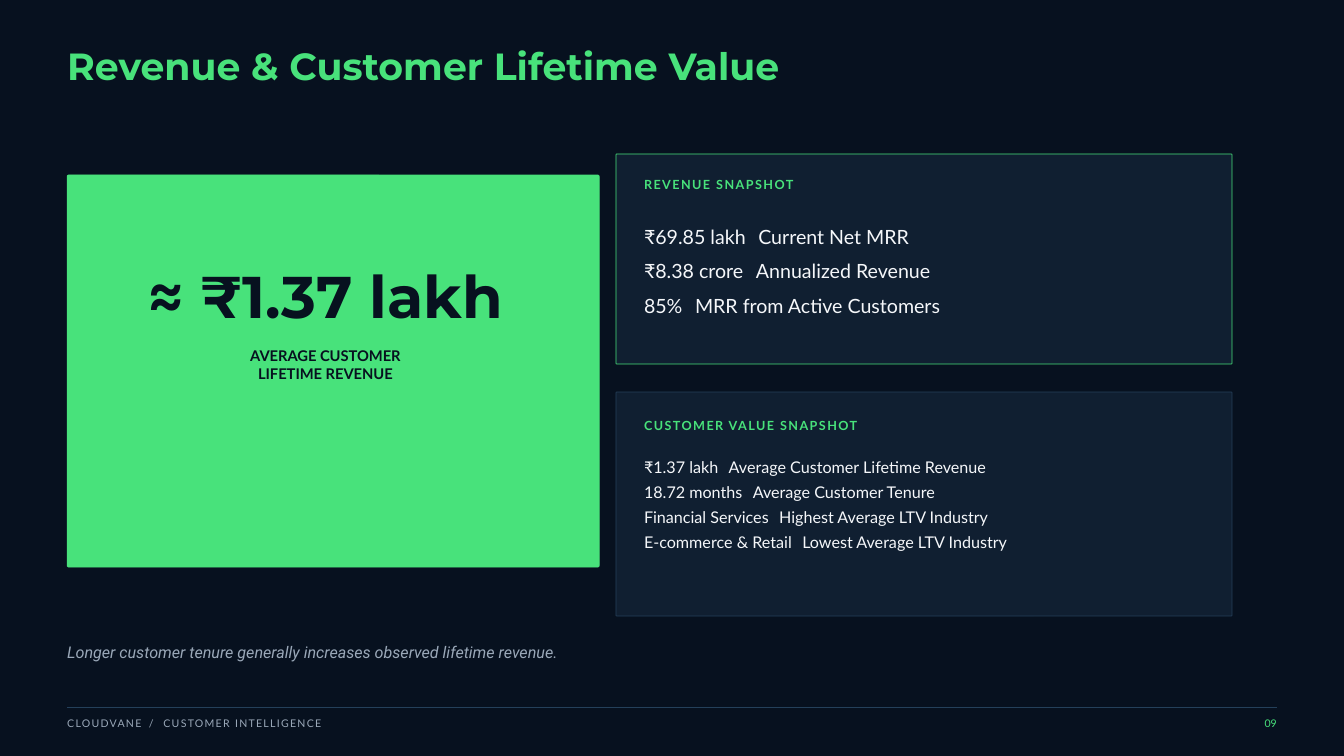
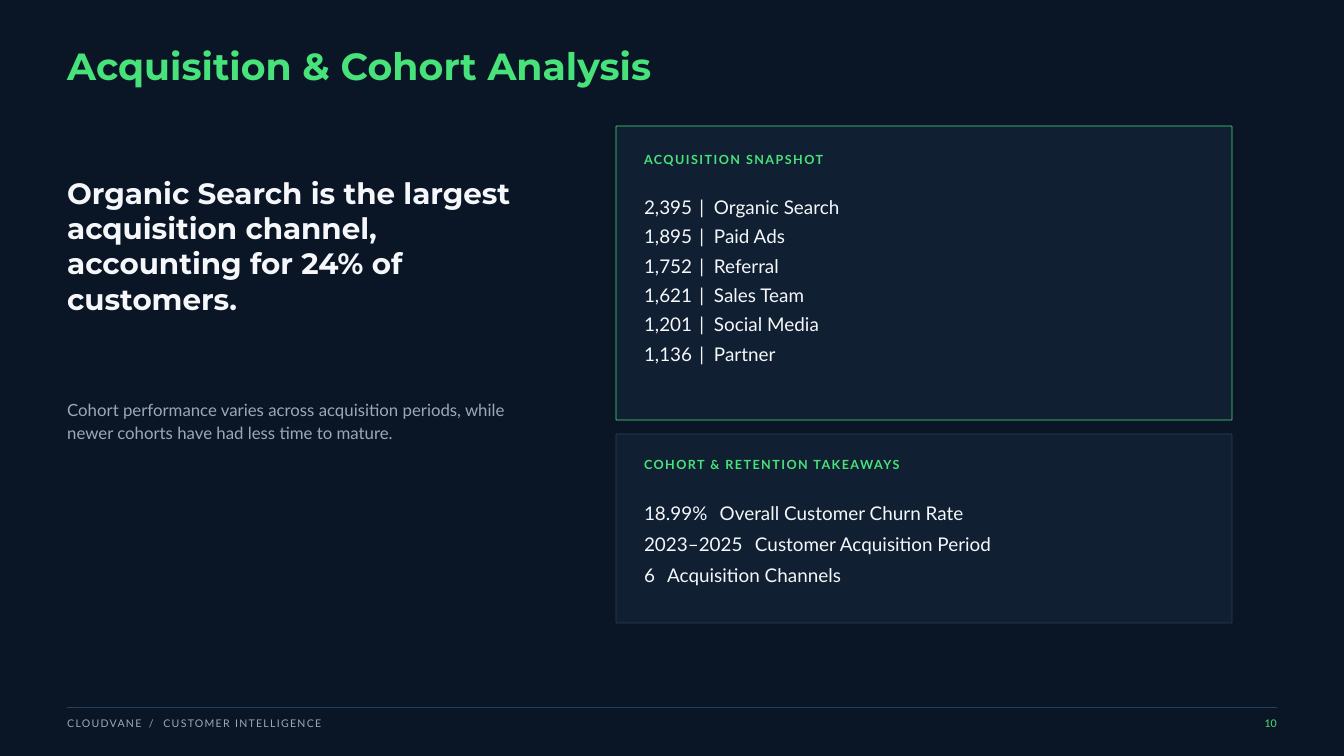
from dataclasses import dataclass

import lxml.etree
import pptx
import pptx.dml.color
import pptx.enum.shapes
import pptx.enum.text
import pptx.oxml.ns
import pptx.util

PX = 9525
SPACE_WIDTH = 0.193
ALIGN = pptx.enum.text.PP_ALIGN
SHAPES = pptx.enum.shapes.MSO_SHAPE


@dataclass(frozen=True)
class TextStyle:
    font: str
    size: float
    leading: float
    color: str
    bold: bool = False
    italic: bool = False
    tracking: float = 0


class Theme:
    night = "07111F"
    navy = "0A1626"
    panel = "101F31"
    rule = "24405A"
    green = "48E27B"
    white = "F5F7FA"
    grey = "9AA8B8"

    title = TextStyle("Montserrat", 40.5, 43.7, green, bold=True)
    figure = TextStyle("Montserrat", 63, 88.2, night, bold=True)
    caption = TextStyle("Lato", 15.75, 19.7, night, bold=True)
    statement = TextStyle("Montserrat", 31.5, 37.8, white, bold=True)
    support = TextStyle("Lato", 18, 25.2, grey)
    remark = TextStyle("Roboto", 17.25, 24.1, grey, italic=True)
    heading = TextStyle("Lato", 13.5, 18.9, green, bold=True, tracking=1.6)
    revenue_list = TextStyle("Lato", 21, 36.8, white)
    value_list = TextStyle("Lato", 17.25, 26.7, white)
    channel_list = TextStyle("Lato", 20.25, 31.4, white)
    cohort_list = TextStyle("Lato", 20.25, 33.4, white)
    footer = TextStyle("Lato", 11.25, 15.7, grey, tracking=1.4)
    page = TextStyle("Lato", 11.25, 15.7, green)


def px(*lengths):
    return [pptx.util.Emu(length * PX) for length in lengths]


def rgb(color):
    return pptx.dml.color.RGBColor.from_string(color)


class Deck:
    margin, right = 96, 1824
    panel_left, panel_width, panel_padding = 880, 880, 40

    def __init__(self, theme):
        self.theme = theme
        self.presentation = pptx.Presentation()
        self.presentation.slide_width, self.presentation.slide_height = px(1920, 1080)
        self.slide = None

    def start(self, background, title, title_width):
        layout = self.presentation.slide_layouts.get_by_name("Two Content")
        self.slide = self.presentation.slides.add_slide(layout)
        fill = self.slide.background.fill
        fill.solid()
        fill.fore_color.rgb = rgb(background)
        self.placeholder(0, (self.margin, 68, title_width, 59), [title], self.theme.title)

    def format_run(self, run, style, tracking):
        font = run.font
        font.name = style.font
        font.size = pptx.util.Pt(style.size)
        font.bold = style.bold
        font.italic = style.italic
        font.color.rgb = rgb(style.color)
        if tracking:
            run._r.get_or_add_rPr().set("spc", str(round(tracking * 100)))

    def fill_text(self, shape, lines, style, align=ALIGN.LEFT):
        frame = shape.text_frame
        frame.word_wrap = True
        frame.auto_size = pptx.enum.text.MSO_AUTO_SIZE.NONE
        frame.vertical_anchor = pptx.enum.text.MSO_ANCHOR.TOP
        frame.margin_left = frame.margin_top = frame.margin_right = frame.margin_bottom = 0
        for index, line in enumerate(lines):
            paragraph = frame.add_paragraph() if index else frame.paragraphs[0]
            if shape.is_placeholder:
                properties = paragraph._p.get_or_add_pPr()
                properties.set("marL", "0")
                properties.set("indent", "0")
                lxml.etree.SubElement(properties, pptx.oxml.ns.qn("a:buNone"))
            paragraph.alignment = align
            paragraph.line_spacing = pptx.util.Pt(style.leading)
            paragraph.space_before = pptx.util.Pt(0)
            parts = [line] if isinstance(line, str) else line
            for position, part in enumerate(parts):
                run = paragraph.add_run()
                run.text = part
                tracking = style.tracking
                if position == 1:
                    tracking += 2 * (SPACE_WIDTH * style.size + tracking) / len(part)
                self.format_run(run, style, tracking)

    def placeholder(self, idx, box, lines, style):
        holder = next(p for p in self.slide.placeholders if p.placeholder_format.idx == idx)
        holder.left, holder.top, holder.width, holder.height = px(*box)
        self.fill_text(holder, lines, style)
        holder.element.getparent().append(holder.element)

    def text(self, box, lines, style, align=ALIGN.LEFT):
        self.fill_text(self.slide.shapes.add_textbox(*px(*box)), lines, style, align)

    def card(self, box, fill, border, radius):
        card = self.slide.shapes.add_shape(SHAPES.ROUNDED_RECTANGLE, *px(*box))
        card.adjustments[0] = radius / min(box[2:])
        card.shadow.inherit = False
        card.fill.solid()
        card.fill.fore_color.rgb = rgb(fill)
        card.line.color.rgb = rgb(border)
        card.line.width = pptx.util.Pt(0.75)

    def panel(self, idx, top, height, border, heading, heading_top, list_box, facts, style, gap=" "):
        theme = self.theme
        self.card((self.panel_left, top, self.panel_width, height), theme.panel, border, 1)
        left = self.panel_left + self.panel_padding
        self.text((left, heading_top, 700, 23), [heading], theme.heading)
        lines = [(value, gap, label) for value, label in facts]
        self.placeholder(idx, (left, *list_box), lines, style)

    def footer(self, page):
        theme = self.theme
        ends = px(self.margin, 1010, self.right, 1010)
        rule = self.slide.shapes.add_connector(pptx.enum.shapes.MSO_CONNECTOR.STRAIGHT, *ends)
        rule.line.color.rgb = rgb(theme.rule)
        rule.line.width = pptx.util.Pt(1)
        lxml.etree.SubElement(rule.element.spPr, pptx.oxml.ns.qn("a:effectLst"))
        section = ("CLOUDVANE", " / ", "CUSTOMER INTELLIGENCE")
        self.text((self.margin, 1022, 700, 20), [section], theme.footer)
        self.text((self.right - 94, 1022, 94, 20), [page], theme.page, ALIGN.RIGHT)


def revenue_slide(deck):
    theme = deck.theme
    deck.start(theme.night, "Revenue & Customer Lifetime Value", 1450)
    deck.card((deck.margin, 250, 760, 560), theme.green, theme.green, 2)
    deck.text((140, 354, 650, 110), ["≈ ₹1.37 lakh"], theme.figure, ALIGN.CENTER)
    deck.text((190, 494, 550, 52), ["AVERAGE CUSTOMER", "LIFETIME REVENUE"],
              theme.caption, ALIGN.CENTER)
    revenue = [
        ("₹69.85 lakh", "Current Net MRR"),
        ("₹8.38 crore", "Annualized Revenue"),
        ("85%", "MRR from Active Customers"),
    ]
    deck.panel(1, 220, 300, theme.green, "REVENUE SNAPSHOT", 249,
               (306, 750, 140), revenue, theme.revenue_list)
    customer_value = [
        ("₹1.37 lakh", "Average Customer Lifetime Revenue"),
        ("18.72 months", "Average Customer Tenure"),
        ("Financial Services", "Highest Average LTV Industry"),
        ("E-commerce & Retail", "Lowest Average LTV Industry"),
    ]
    deck.panel(2, 560, 320, theme.rule, "CUSTOMER VALUE SNAPSHOT", 593,
               (646, 790, 135), customer_value, theme.value_list)
    deck.text((deck.margin, 913, 1600, 31),
              ["Longer customer tenure generally increases observed lifetime revenue."],
              theme.remark)
    deck.footer("09")


def acquisition_slide(deck):
    theme = deck.theme
    deck.start(theme.navy, "Acquisition & Cohort Analysis", 1300)
    deck.text((deck.margin, 250, 650, 200),
              ["Organic Search is the largest acquisition channel, "
               "accounting for 24% of customers."], theme.statement)
    deck.text((deck.margin, 566, 650, 65),
              ["Cohort performance varies across acquisition periods, "
               "while newer cohorts have had less time to mature."], theme.support)
    channels = [
        ("2,395", "Organic Search"),
        ("1,895", "Paid Ads"),
        ("1,752", "Referral"),
        ("1,621", "Sales Team"),
        ("1,201", "Social Media"),
        ("1,136", "Partner"),
    ]
    deck.panel(1, 180, 420, theme.green, "ACQUISITION SNAPSHOT", 213,
               (270, 720, 242), channels, theme.channel_list, gap=" | ")
    cohorts = [
        ("18.99%", "Overall Customer Churn Rate"),
        ("2023–2025", "Customer Acquisition Period"),
        ("6", "Acquisition Channels"),
    ]
    deck.panel(2, 620, 270, theme.rule, "COHORT & RETENTION TAKEAWAYS", 649,
               (704, 720, 127), cohorts, theme.cohort_list)
    deck.footer("10")


def main():
    deck = Deck(Theme())
    revenue_slide(deck)
    acquisition_slide(deck)
    deck.presentation.save("out.pptx")


if __name__ == "__main__":
    main()
